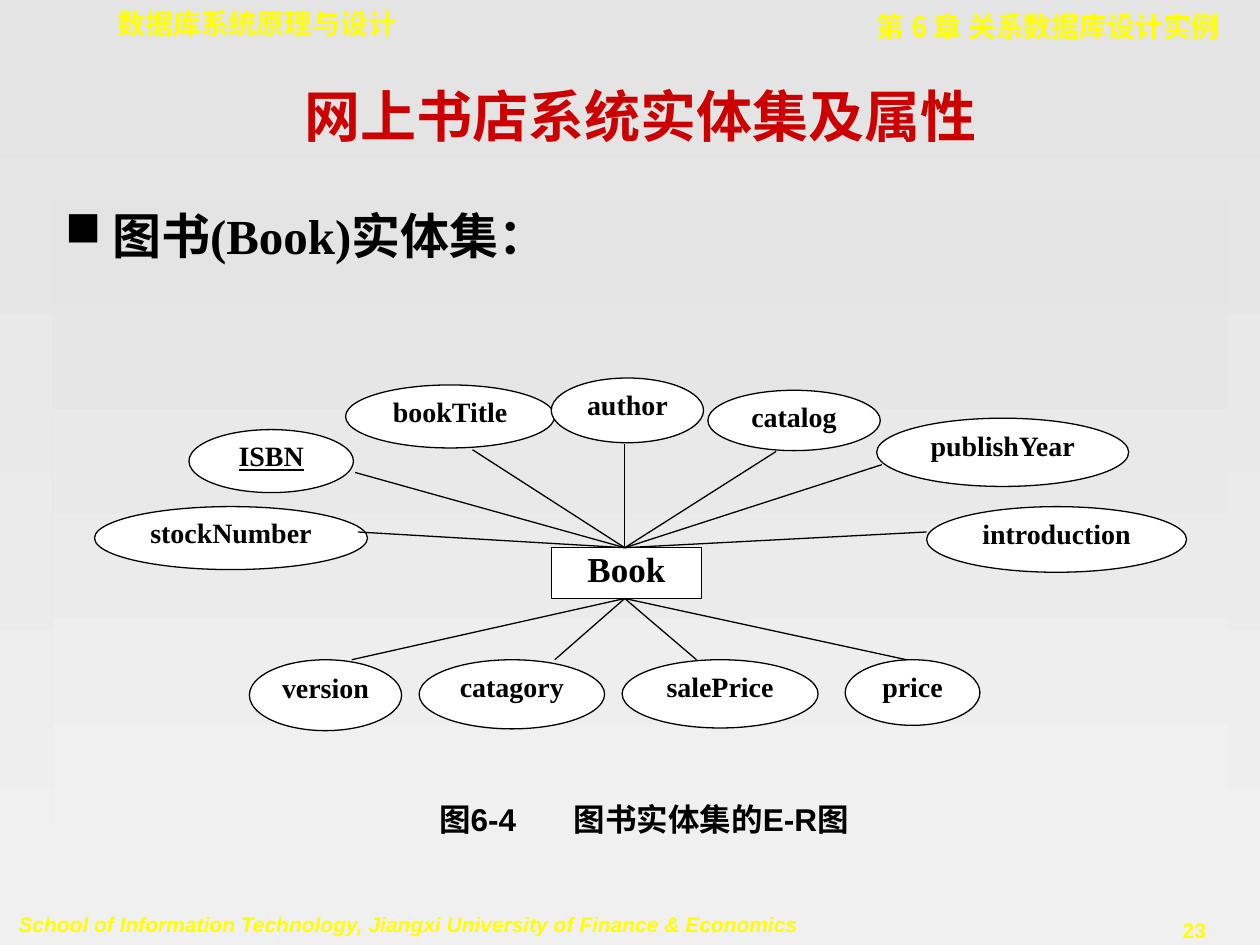
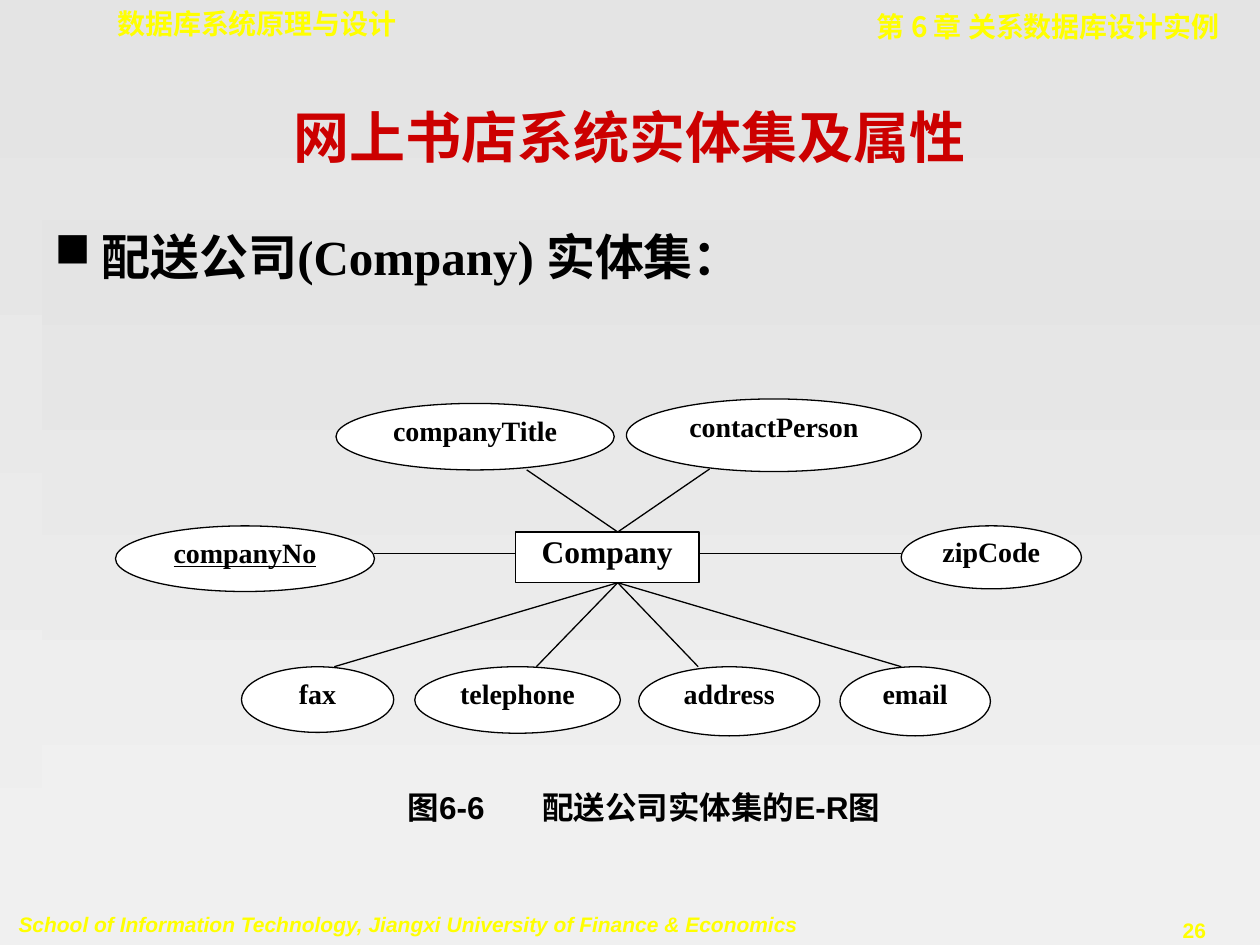
from dataclasses import dataclass

from lxml.etree import SubElement
from pptx import Presentation
from pptx.dml.color import RGBColor
from pptx.enum.shapes import MSO_CONNECTOR, MSO_SHAPE
from pptx.enum.text import MSO_ANCHOR, MSO_AUTO_SIZE, PP_ALIGN
from pptx.oxml.ns import qn
from pptx.util import Pt


# Theme
@dataclass(frozen=True)
class Theme:
    black: str = "000000"
    white: str = "FFFFFF"
    title: str = "CC0000"
    band: str = "FFFF00"
    shade_top: str = "E4E4E4"
    shade_bottom: str = "F0F0F0"
    serif: str = "Times New Roman"
    sans: str = "Arial"
    mono: str = "DejaVu Sans Mono"
    cjk: str = "Noto Sans CJK SC"
    title_size: float = 32
    body_size: float = 28
    caption_size: float = 18
    label_size: float = 16
    footer_size: float = 12
    line_width: float = 0.75


T = Theme()
CAPTION_TAB = 77
BULLET_INDENT = 27


# Slide contents
@dataclass(frozen=True)
class Box:
    x: float
    y: float
    w: float
    h: float


@dataclass(frozen=True)
class Band:
    text: str
    box: Box
    size: float
    font: str
    align: PP_ALIGN = PP_ALIGN.LEFT
    italic: bool = False
    wrap: bool = True


@dataclass(frozen=True)
class Attribute:
    name: str
    box: Box
    end: tuple[float, float]
    key: bool = False


@dataclass(frozen=True)
class Entity:
    name: str
    box: Box
    size: float
    hub_x: float
    attributes: list[Attribute]


@dataclass(frozen=True)
class Page:
    number: str
    title_box: Box
    heading: str
    heading_box: Box
    entity: Entity
    figure: str
    caption: str
    caption_box: Box
    caption_inset: float


TITLE = "网上书店系统实体集及属性"
BANDS = [
    Band("School of Information Technology, Jiangxi University of Finance & Economics",
         Box(3.5, 517.5, 461, 22), T.footer_size, T.sans, italic=True, wrap=False),
    Band("数据库系统原理与设计", Box(60, 0, 263.5, 27), T.label_size, T.mono),
    Band("第 6 章 关系数据库设计实例", Box(391, 2, 313, 27), T.label_size, T.cjk,
         PP_ALIGN.RIGHT),
]

BOOK = Entity("Book", Box(315, 313, 86, 29), 20, 357, [
    Attribute("ISBN", Box(108, 245.5, 94, 36), (203, 270), key=True),
    Attribute("bookTitle", Box(197.5, 220, 119.5, 36), (270, 257)),
    Attribute("author", Box(315, 216, 87, 37), (357, 253.5)),
    Attribute("catalog", Box(404.5, 223, 98.5, 34.5), (443.5, 258)),
    Attribute("publishYear", Box(501, 239, 144, 39), (504, 265.5)),
    Attribute("stockNumber", Box(54, 289.5, 156, 36), (204.5, 304)),
    Attribute("introduction", Box(529.5, 289.5, 148.5, 37.5), (529.5, 304)),
    Attribute("version", Box(142.5, 377, 87, 40.5), (201, 377)),
    Attribute("catagory", Box(239.5, 377, 106, 39.5), (317, 377)),
    Attribute("salePrice", Box(355.5, 377, 112, 39), (398, 377)),
    Attribute("price", Box(483, 377, 77, 37.5), (518, 377)),
])

COMPANY = Entity("Company", Box(294.5, 304, 105, 29), 18, 353, [
    Attribute("companyNo", Box(66, 300.5, 148, 37.5), (214, 316.5), key=True),
    Attribute("companyTitle", Box(192, 230.5, 159, 38), (301, 268.5)),
    Attribute("contactPerson", Box(358, 228, 168.5, 41.5), (405.5, 268)),
    Attribute("zipCode", Box(515, 300.5, 103, 36), (515, 316.5)),
    Attribute("fax", Box(138, 381, 87, 37.5), (191, 381)),
    Attribute("telephone", Box(237, 381, 117.5, 38), (306.5, 381)),
    Attribute("address", Box(365, 381, 103.5, 39.5), (399, 381)),
    Attribute("email", Box(480, 381, 86, 39.5), (515, 381)),
])

PAGES = [
    Page("23", Box(60, 42, 612, 48), "图书(Book)实体集：", Box(30, 114, 672, 360),
         BOOK, "图6-4", "图书实体集的E-R图", Box(174, 453.5, 397.5, 29), 77),
    Page("26", Box(54, 54, 612, 48), "配送公司(Company) 实体集：",
         Box(24, 126, 696, 360), COMPANY, "图6-6", "配送公司实体集的E-R图",
         Box(151, 447, 448.5, 29), 82),
]


# Drawing helpers
def rgb(color: str) -> RGBColor:
    return RGBColor.from_string(color)


def place(box: Box) -> list[int]:
    return [Pt(v) for v in (box.x, box.y, box.w, box.h)]


def shade(fill) -> None:
    fill.gradient()
    fill.gradient_angle = 270
    for stop, color in zip(fill.gradient_stops, (T.shade_top, T.shade_bottom)):
        stop.color.rgb = rgb(color)


def add_bullet(p) -> None:
    pPr = p._p.get_or_add_pPr()
    pPr.set("marL", str(Pt(BULLET_INDENT)))
    pPr.set("indent", str(-Pt(BULLET_INDENT)))
    clr = SubElement(pPr, qn("a:buClr"))
    SubElement(clr, qn("a:srgbClr"), val=T.black)
    SubElement(pPr, qn("a:buChar"), char="■")


def add_tab(p, pos: float) -> None:
    tabs = SubElement(p._p.get_or_add_pPr(), qn("a:tabLst"))
    SubElement(tabs, qn("a:tab"), pos=str(Pt(pos)), algn="l")


def write(sp, text: str, *, size: float, font: str = T.serif, color: str = T.black,
          align: PP_ALIGN = PP_ALIGN.LEFT, anchor: MSO_ANCHOR = MSO_ANCHOR.TOP,
          italic: bool = False, underline: bool = False, wrap: bool = True,
          inset: tuple[float, float] = (7.2, 3.6), left: float | None = None,
          bullet: bool = False, tab: float | None = None, grow: bool = False) -> None:
    tf = sp.text_frame
    tf.word_wrap = wrap
    tf.vertical_anchor = anchor
    tf.auto_size = MSO_AUTO_SIZE.SHAPE_TO_FIT_TEXT if grow else MSO_AUTO_SIZE.NONE
    tf.margin_left = Pt(inset[0] if left is None else left)
    tf.margin_right = Pt(inset[0])
    tf.margin_top = tf.margin_bottom = Pt(inset[1])
    p = tf.paragraphs[0]
    p.alignment = align
    if bullet:
        add_bullet(p)
    if tab is not None:
        add_tab(p, tab)
    r = p.add_run()
    r.text = text
    r.font.name, r.font.size, r.font.bold = font, Pt(size), True
    r.font.italic, r.font.underline = italic, underline
    r.font.color.rgb = rgb(color)
    SubElement(r._r.get_or_add_rPr(), qn("a:ea"), typeface=T.cjk)


def add_text(s, text: str, box: Box, **fmt):
    sp = s.shapes.add_textbox(*place(box))
    write(sp, text, **fmt)
    return sp


def add_node(s, kind: MSO_SHAPE, text: str, box: Box, **fmt) -> None:
    sp = s.shapes.add_shape(kind, *place(box))
    sp.shadow.inherit = False
    sp.fill.solid()
    sp.fill.fore_color.rgb = rgb(T.white)
    sp.line.color.rgb = rgb(T.black)
    sp.line.width = Pt(T.line_width)
    write(sp, text, align=PP_ALIGN.CENTER, inset=(0, 0), **fmt)


def add_line(s, start: tuple[float, float], end: tuple[float, float]) -> None:
    ln = s.shapes.add_connector(MSO_CONNECTOR.STRAIGHT,
                                *[Pt(v) for v in (*start, *end)])
    ln.line.color.rgb = rgb(T.black)
    ln.line.width = Pt(T.line_width)
    SubElement(ln._element.spPr, qn("a:effectLst"))


def hub(entity: Entity, end: tuple[float, float]) -> tuple[float, float]:
    """Point on the entity's edge that faces the attribute."""
    box, (x, y) = entity.box, end
    if box.y <= y <= box.y + box.h:
        return (box.x if x < box.x else box.x + box.w), y
    return entity.hub_x, (box.y if y < box.y else box.y + box.h)


# Slide parts
def draw_bands(s, number: str) -> None:
    page_number = Band(number, Box(646.5, 520.5, 72, 22), T.footer_size, T.sans,
                       PP_ALIGN.CENTER, wrap=False)
    for b in [page_number, *BANDS]:
        add_text(s, b.text, b.box, size=b.size, font=b.font, color=T.band,
                 align=b.align, italic=b.italic, wrap=b.wrap, grow=True)


def draw_entity(s, entity: Entity) -> None:
    add_node(s, MSO_SHAPE.RECTANGLE, entity.name, entity.box, size=entity.size)
    for a in entity.attributes:
        add_node(s, MSO_SHAPE.OVAL, a.name, a.box, size=T.label_size, underline=a.key)
    for a in entity.attributes:
        add_line(s, hub(entity, a.end), a.end)


def draw_page(prs, page: Page) -> None:
    s = prs.slides.add_slide(prs.slide_layouts[6])
    shade(s.background.fill)
    draw_bands(s, page.number)
    add_text(s, TITLE, page.title_box, size=T.title_size, color=T.title,
             align=PP_ALIGN.CENTER, anchor=MSO_ANCHOR.MIDDLE)
    body = add_text(s, page.heading, page.heading_box, size=T.body_size, bullet=True)
    shade(body.fill)
    draw_entity(s, page.entity)
    add_text(s, f"{page.figure}\t{page.caption}", page.caption_box,
             size=T.caption_size, font=T.sans, left=page.caption_inset,
             tab=CAPTION_TAB, grow=True)


def main() -> None:
    prs = Presentation()
    prs.slide_width, prs.slide_height = Pt(720), Pt(540)
    for page in PAGES:
        draw_page(prs, page)
    prs.save("out.pptx")


if __name__ == "__main__":
    main()
